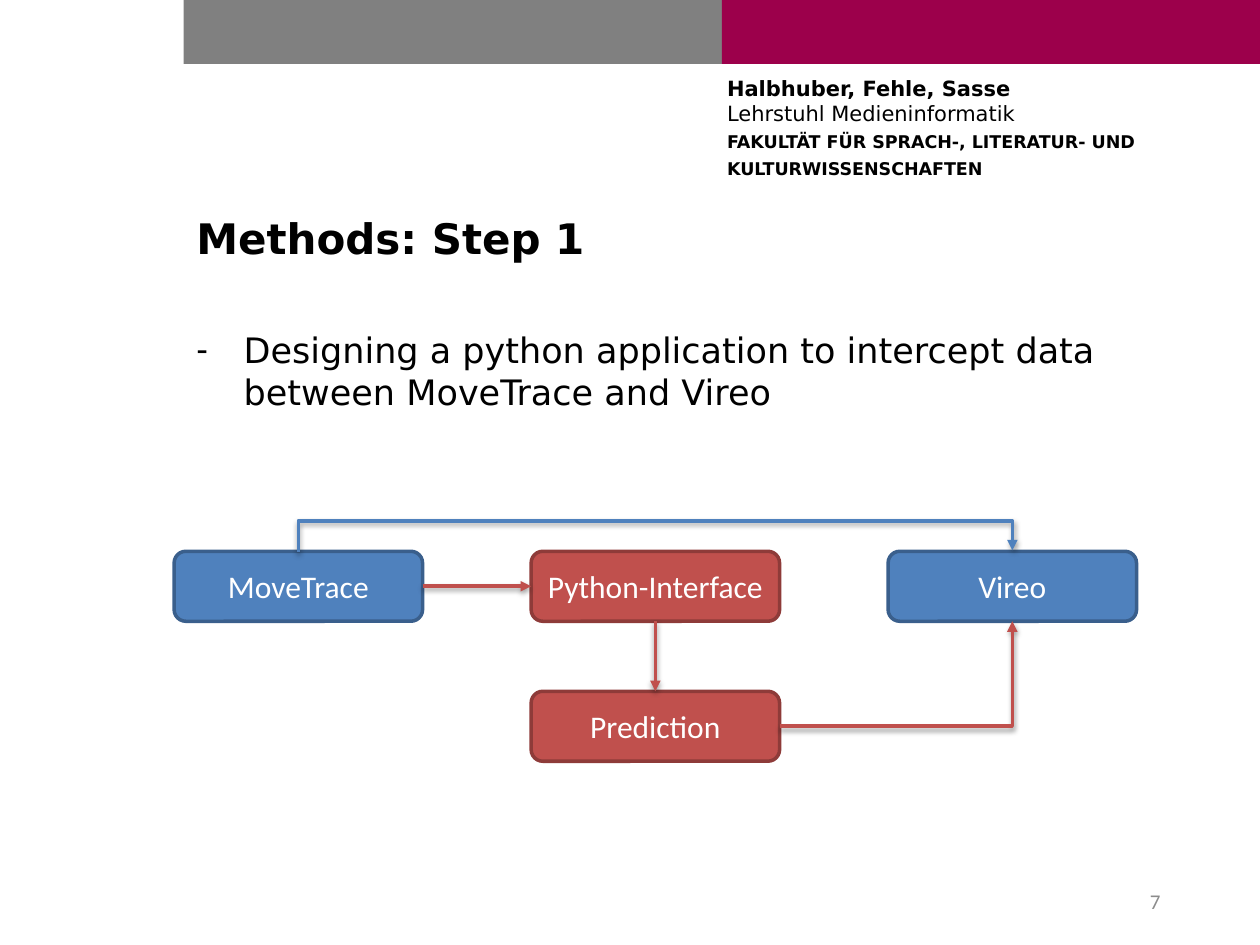
from dataclasses import dataclass

import pptx
import pptx.dml.color
import pptx.enum.shapes
import pptx.enum.text
import pptx.oxml
import pptx.oxml.ns
import pptx.util

Pt = pptx.util.Pt
ALIGN = pptx.enum.text.PP_ALIGN
ANCHOR = pptx.enum.text.MSO_ANCHOR
SHAPE = pptx.enum.shapes.MSO_SHAPE
CONNECTOR = pptx.enum.shapes.MSO_CONNECTOR
NAMESPACE = pptx.oxml.ns.nsdecls("a")

COLORS = {
    "gray": "808080",
    "crimson": "9C004B",
    "black": "000000",
    "white": "FFFFFF",
    "number": "8C8C8C",
    "blue": "4F81BD",
    "blue_edge": "3A5F8C",
    "red": "C0504D",
    "red_edge": "8E3B39",
}
SANS = "DejaVu Sans"
BOX_WIDTH, BOX_HEIGHT = 142, 40
BOX_LEFT, BOX_TOP = 99.5, 315
COLUMN_STEP, ROW_STEP = 204, 80
DETOUR_HEIGHT = 18
TOP, LEFT, BOTTOM, RIGHT = range(4)


@dataclass
class Band:
    left: float
    color: str


@dataclass
class Node:
    name: str
    column: int
    row: int
    color: str

    @property
    def left(self) -> float:
        return BOX_LEFT + self.column * COLUMN_STEP

    @property
    def top(self) -> float:
        return BOX_TOP + self.row * ROW_STEP

    @property
    def center(self) -> float:
        return self.left + BOX_WIDTH / 2


@dataclass
class Link:
    source: Node
    source_side: int
    target: Node
    target_side: int


def rgb(name: str):
    return pptx.dml.color.RGBColor.from_string(COLORS[name])


def add_run(paragraph, text: str, size: float, font: str, color: str, bold: bool = False) -> None:
    run = paragraph.add_run()
    run.text = text
    for attribute, value in {"size": Pt(size), "name": font, "bold": bold}.items():
        setattr(run.font, attribute, value)
    run.font.color.rgb = rgb(color)


def format_frame(frame, **values) -> None:
    defaults = {"word_wrap": True, "auto_size": pptx.enum.text.MSO_AUTO_SIZE.NONE,
                "vertical_anchor": ANCHOR.TOP}
    for attribute, value in (defaults | values).items():
        setattr(frame, attribute, value)


def place(shape, left: float, top: float, width: float, height: float) -> None:
    bounds = {"left": left, "top": top, "width": width, "height": height}
    for attribute, value in bounds.items():
        setattr(shape, attribute, Pt(value))


def draw_band(slide, band: Band) -> None:
    shape = slide.shapes.add_shape(SHAPE.RECTANGLE, Pt(band.left), 0, Pt(307.5), Pt(36.5))
    shape.shadow.inherit = False
    shape.fill.solid()
    shape.fill.fore_color.rgb = rgb(band.color)
    shape.line.fill.background()


def draw_header(slide) -> None:
    frame = slide.shapes.add_textbox(Pt(415.5), Pt(43.2), Pt(291), Pt(67.7)).text_frame
    format_frame(frame, margin_left=0, margin_top=0, margin_right=0, margin_bottom=0)
    names = frame.paragraphs[0]
    add_run(names, "Halbhuber, Fehle, Sasse", 12, SANS, "black", True)
    names.add_line_break()
    add_run(names, "Lehrstuhl Medieninformatik", 12, SANS, "black")
    for line in ("FAKULTÄT FÜR SPRACH-, LITERATUR- UND", "KULTURWISSENSCHAFTEN"):
        add_run(frame.add_paragraph(), line, 10, SANS, "black", True)
    for paragraph in frame.paragraphs:
        paragraph.space_after = Pt(3)


def fill_placeholders(slide) -> None:
    title, body = slide.placeholders
    place(title, 105, 118, 566, 54.7)
    format_frame(title.text_frame)
    heading = title.text_frame.paragraphs[0]
    heading.alignment = ALIGN.LEFT
    add_run(heading, "Methods: Step 1", 24, SANS, "black", True)

    place(body, 105, 184.3, 566.6, 311.8)
    format_frame(body.text_frame)
    item = body.text_frame.paragraphs[0]
    item.space_before = Pt(0)
    add_run(item, "Designing a python application to intercept data between MoveTrace and Vireo",
            20, SANS, "black")
    properties = item._p.get_or_add_pPr()
    properties.set("marL", str(Pt(27)))
    properties.set("indent", str(-Pt(27)))
    properties.append(pptx.oxml.parse_xml(f'<a:buChar {NAMESPACE} char="-"/>'))


def draw_page_number(slide) -> None:
    frame = slide.shapes.add_textbox(Pt(508.3), Pt(500.4), Pt(162), Pt(28.8)).text_frame
    format_frame(frame, vertical_anchor=ANCHOR.MIDDLE)
    frame.paragraphs[0].alignment = ALIGN.RIGHT
    add_run(frame.paragraphs[0], "7", 12, "Calibri", "number")


def draw_node(slide, node: Node):
    shape = slide.shapes.add_shape(SHAPE.ROUNDED_RECTANGLE, Pt(node.left), Pt(node.top),
                                   Pt(BOX_WIDTH), Pt(BOX_HEIGHT))
    shape.shadow.inherit = False
    shape.fill.solid()
    shape.fill.fore_color.rgb = rgb(node.color)
    shape.line.color.rgb = rgb(node.color + "_edge")
    shape.line.width = Pt(2)
    format_frame(shape.text_frame, vertical_anchor=ANCHOR.MIDDLE)
    paragraph = shape.text_frame.paragraphs[0]
    paragraph.alignment = ALIGN.CENTER
    add_run(paragraph, node.name, 18, "Calibri", "white")
    return shape


def draw_arrow(slide, kind, begin: tuple, end: tuple, color: str):
    connector = slide.shapes.add_connector(kind, *(Pt(value) for value in begin + end))
    connector.line.color.rgb = rgb(color)
    connector.line.width = Pt(2)
    connector.line._get_or_add_ln().append(
        pptx.oxml.parse_xml(f'<a:tailEnd {NAMESPACE} type="triangle"/>'))
    connector._element.spPr.append(pptx.oxml.parse_xml(
        f'<a:effectLst {NAMESPACE}><a:outerShdw blurRad="{Pt(3.1)}" dist="{Pt(1.6)}" '
        f'dir="5400000" rotWithShape="0"><a:srgbClr val="{COLORS["black"]}">'
        '<a:alpha val="38000"/></a:srgbClr></a:outerShdw></a:effectLst>'))
    return connector


def draw_detour(slide, source: Node, target: Node) -> None:
    middle = (source.center + target.center) / 2
    half_span = (target.center - source.center) / 2
    connector = draw_arrow(slide, CONNECTOR.ELBOW, (middle + 0.5, source.top + half_span),
                           (middle - 0.5, source.top - half_span), source.color)
    properties = connector._element.spPr
    properties.find(pptx.oxml.ns.qn("a:xfrm")).set("rot", "5400000")
    adjustments = properties.find(pptx.oxml.ns.qn("a:prstGeom")).find(pptx.oxml.ns.qn("a:avLst"))
    adjustments.append(pptx.oxml.parse_xml(
        f'<a:gd {NAMESPACE} name="adj1" fmla="val {DETOUR_HEIGHT * 100000}"/>'))


def draw_corner(slide, source: Node, target: Node) -> None:
    begin = (source.left + BOX_WIDTH, source.top + BOX_HEIGHT / 2)
    end = (target.center, target.top + BOX_HEIGHT)
    connector = draw_arrow(slide, CONNECTOR.ELBOW, begin, end, source.color)
    connector._element.spPr.find(pptx.oxml.ns.qn("a:prstGeom")).set("prst", "bentConnector2")


def main() -> None:
    presentation = pptx.Presentation()
    presentation.slide_width, presentation.slide_height = Pt(720), Pt(540)
    slide = presentation.slides.add_slide(presentation.slide_layouts[1])
    for band in (Band(105, "gray"), Band(412.5, "crimson")):
        draw_band(slide, band)
    draw_header(slide)
    fill_placeholders(slide)
    draw_page_number(slide)

    tracker = Node("MoveTrace", 0, 0, "blue")
    interface = Node("Python-Interface", 1, 0, "red")
    engine = Node("Vireo", 2, 0, "blue")
    prediction = Node("Prediction", 1, 1, "red")
    boxes = {node.name: draw_node(slide, node) for node in (tracker, interface, engine, prediction)}

    draw_detour(slide, tracker, engine)
    for link in (Link(tracker, RIGHT, interface, LEFT), Link(interface, BOTTOM, prediction, TOP)):
        connector = draw_arrow(slide, CONNECTOR.STRAIGHT, (0, 0), (0, 0), "red")
        connector.begin_connect(boxes[link.source.name], link.source_side)
        connector.end_connect(boxes[link.target.name], link.target_side)
    draw_corner(slide, prediction, engine)
    presentation.save("out.pptx")


if __name__ == "__main__":
    main()
